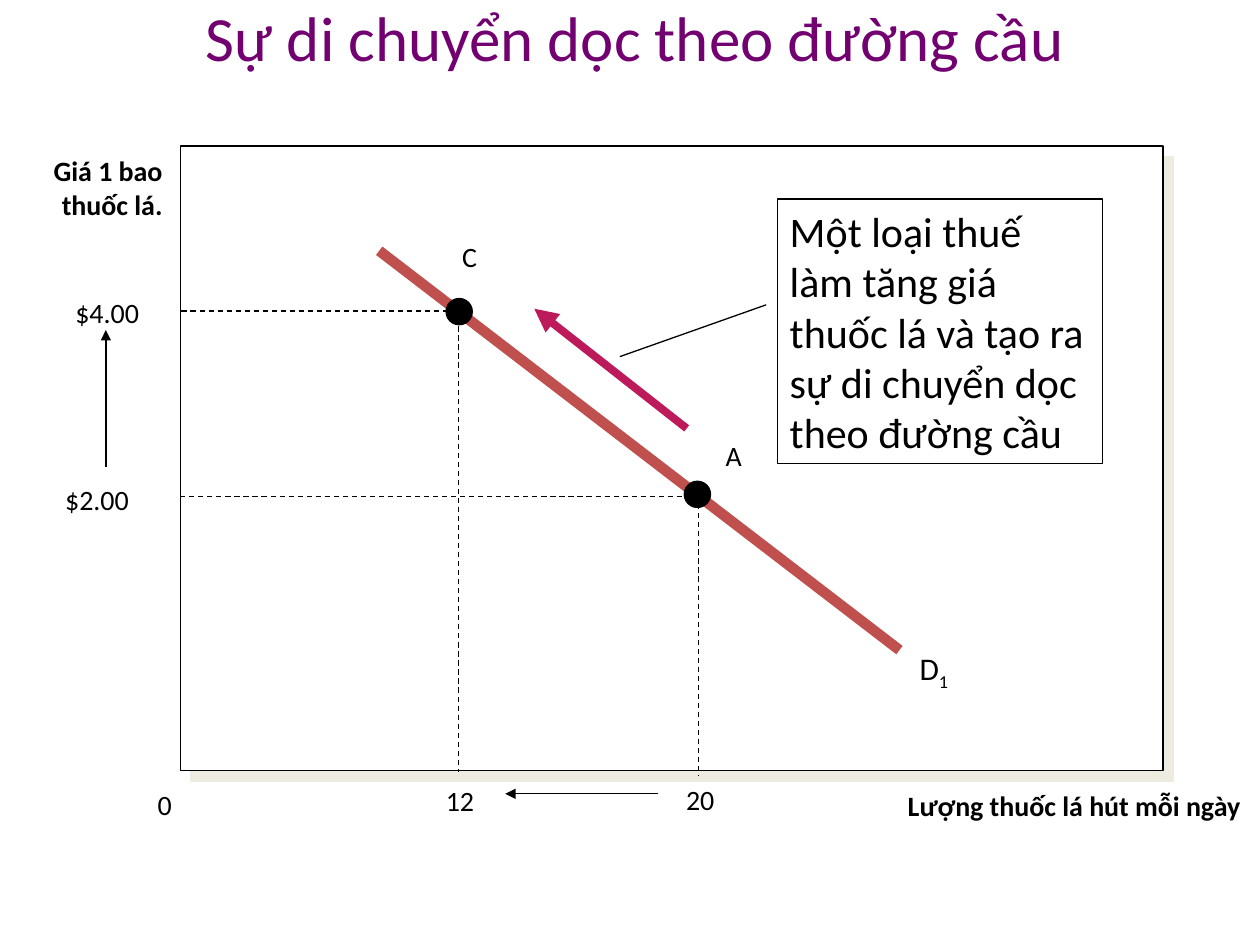
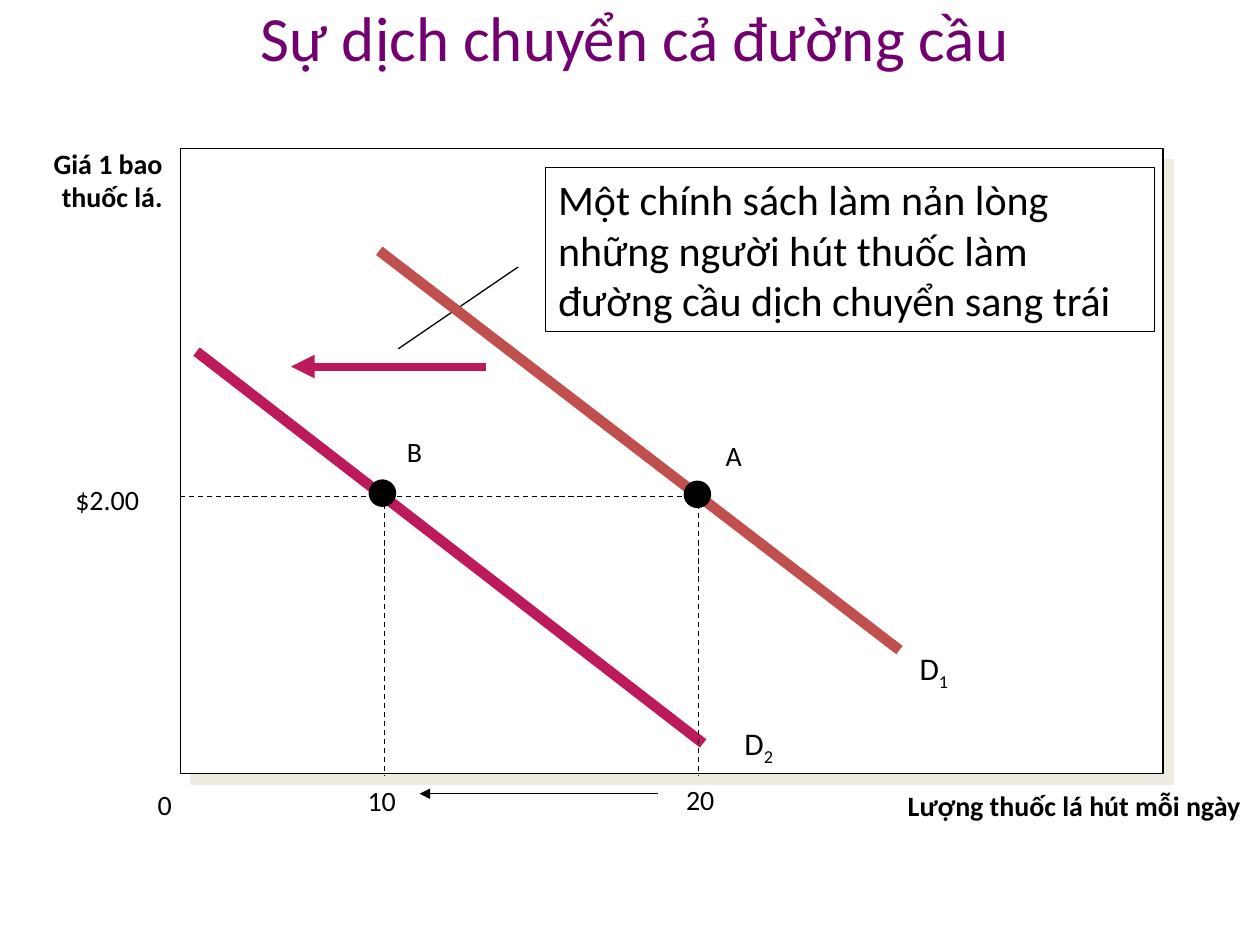
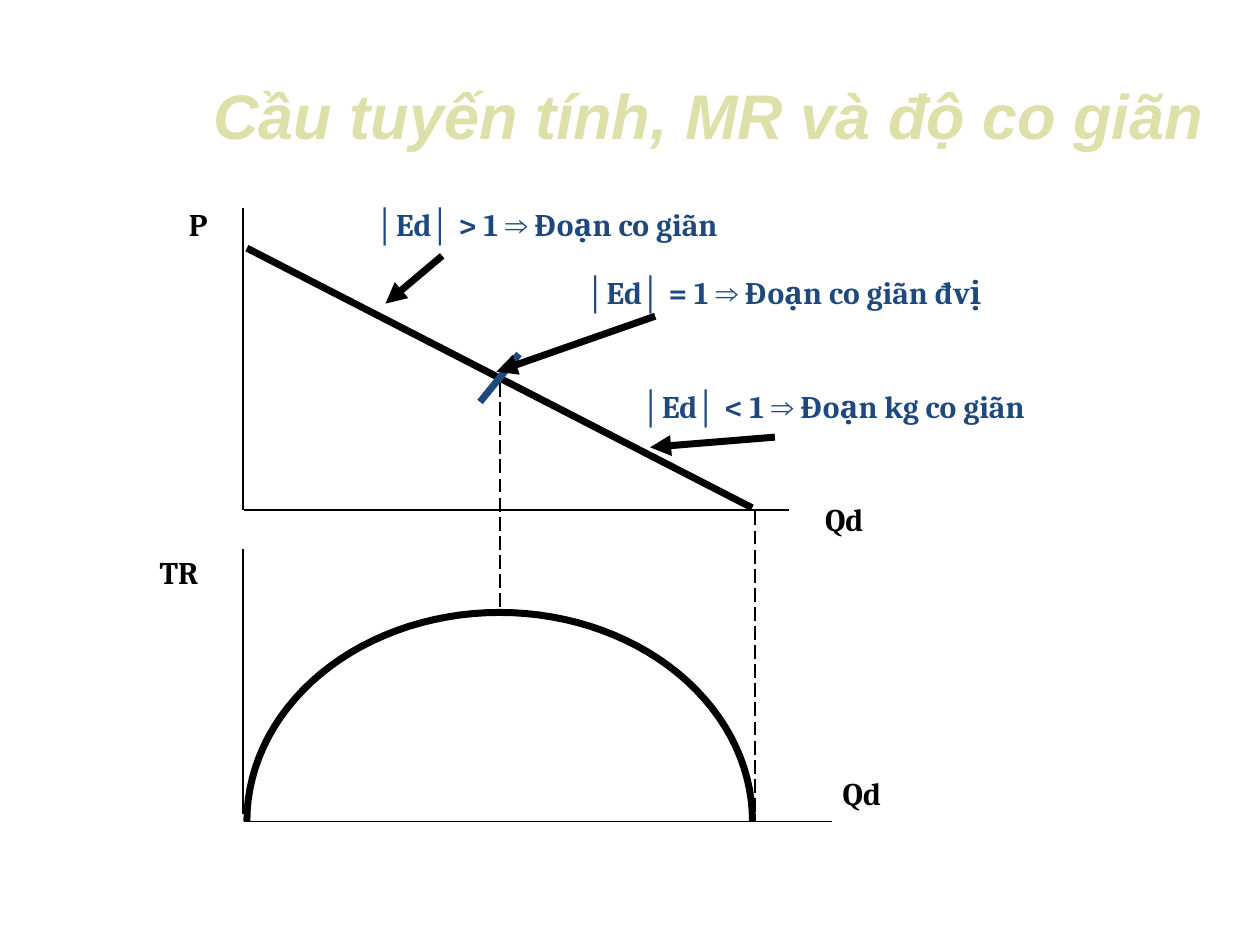
from dataclasses import dataclass
from math import cos, pi, sin

from lxml import etree
from pptx import Presentation
from pptx.dml.color import RGBColor as Rgb
from pptx.enum.dml import MSO_LINE as Dash
from pptx.enum.shapes import MSO_CONNECTOR as Link, MSO_SHAPE as Shape
from pptx.enum.text import MSO_ANCHOR as Anchor, MSO_AUTO_SIZE as Fit, PP_ALIGN as Align
from pptx.oxml.ns import qn
from pptx.util import Pt


@dataclass(frozen=True)
class Theme:
    # Colours
    ink: str = "000000"
    paper: str = "FFFFFF"
    shade: str = "EEECE1"
    plum: str = "720070"
    olive: str = "DDE0A8"
    brick: str = "C0504D"
    rose: str = "BC1A5A"
    navy: str = "1F497D"
    # Fonts and type sizes
    sans: str = "Calibri"
    serif: str = "Cambria"
    plain: str = "Arial"
    head: int = 36
    body: int = 24
    mark: int = 18
    small: int = 16
    # Line widths
    thin: float = 0.75
    axis: float = 1
    bold: float = 4
    arrow: float = 4.5
    curve: float = 6


T = Theme()


# Text
def style(para, size, color=T.ink, font=T.sans, bold=False, italic=False):
    face = para.font
    face.size, face.bold, face.italic = Pt(size), bold, italic
    face.color.rgb = Rgb.from_string(color)
    if font:
        face.name = font


def label(slide, text, x, y, w, h=27, size=T.small, font=T.sans, bold=False,
          color=T.ink, align=Align.LEFT, sub=""):
    frame = slide.shapes.add_textbox(Pt(x), Pt(y), Pt(w), Pt(h)).text_frame
    frame.word_wrap = True
    para = frame.paragraphs[0]
    para.alignment = align
    if text:
        para.add_run().text = text
    if sub:
        run = para.add_run()
        run.text = sub
        run._r.get_or_add_rPr().set("baseline", "-25000")
    style(para, size, color, font, bold)
    return para


def title(slide, text, x, y, w, color=T.plum, font=T.sans, slant=False):
    box = slide.shapes.title
    box.left, box.top, box.width, box.height = Pt(x), Pt(y), Pt(w), Pt(66)
    frame = box.text_frame
    frame.text = text
    frame.word_wrap, frame.auto_size = True, Fit.NONE
    frame.vertical_anchor = Anchor.MIDDLE
    para = frame.paragraphs[0]
    para.alignment = Align.CENTER
    style(para, T.head, color, font, slant, slant)


# Lines and shapes
def line(slide, x1, y1, x2, y2, width=T.thin, color=T.ink, dash=None, tip=False):
    link = slide.shapes.add_connector(Link.STRAIGHT, Pt(x1), Pt(y1), Pt(x2), Pt(y2))
    link.line.width = Pt(width)
    link.line.color.rgb = Rgb.from_string(color)
    if dash:
        link.line.dash_style = dash
    if tip:
        etree.SubElement(link.line._get_or_add_ln(), qn("a:tailEnd"), type="triangle")
    etree.SubElement(link._element.spPr, qn("a:effectLst"))


def block(slide, kind, x, y, w, h, fill=None):
    item = slide.shapes.add_shape(kind, Pt(x), Pt(y), Pt(w), Pt(h))
    item.shadow.inherit = False
    if fill:
        item.fill.solid()
        item.fill.fore_color.rgb = Rgb.from_string(fill)
    else:
        item.fill.background()
    item.line.width = Pt(T.thin)
    item.line.color.rgb = Rgb.from_string(T.ink)
    return item


def plot(slide, top):
    """Framed plot area with a hard offset shadow."""
    item = block(slide, Shape.RECTANGLE, 103, top, 561.6, 357, T.paper)
    effect = item._element.spPr.find(qn("a:effectLst"))
    cast = etree.SubElement(effect, qn("a:outerShdw"), blurRad="0",
                            dist=str(Pt(8.5)), dir="2700000", algn="ctr", rotWithShape="0")
    etree.SubElement(cast, qn("a:srgbClr"), val=T.shade)


def callout(slide, text, x, y, w, h):
    frame = block(slide, Shape.RECTANGLE, x, y, w, h).text_frame
    frame.word_wrap = True
    frame.vertical_anchor = Anchor.TOP
    para = frame.paragraphs[0]
    para.add_run().text = text
    para.alignment = Align.LEFT
    style(para, T.body)


def point(slide, name, x, y, name_x, name_y):
    block(slide, Shape.OVAL, x - 7.5, y - 7.5, 15, 15, T.ink)
    label(slide, name, name_x, name_y, 22.3)


def dome(slide, left, right, top, base, steps=60):
    """Upper half of an ellipse."""
    mid, wide, high = (left + right) / 2, (right - left) / 2, base - top
    dots = [(Pt(mid - wide * cos(pi * i / steps)), Pt(base - high * sin(pi * i / steps)))
            for i in range(steps + 1)]
    path = slide.shapes.build_freeform(*dots[0])
    path.add_line_segments(dots[1:], close=False)
    arc = path.convert_to_shape()
    arc.shadow.inherit = False
    arc.fill.background()
    arc.line.width = Pt(T.bold)
    arc.line.color.rgb = Rgb.from_string(T.ink)


# Parts that both demand slides share
def demand(slide, head, top, name_y, price_x, tip_x):
    title(slide, head, 23.8, -12.2, 678)
    plot(slide, top)
    label(slide, "Giá 1 bao thuốc lá.", 0, name_y, 100, 46, bold=True, align=Align.RIGHT)
    label(slide, "Lượng thuốc lá hút mỗi ngày", 438, 447, 278, bold=True, align=Align.RIGHT)
    label(slide, "0", 83, 446.4, 26)
    label(slide, "20", 385, 443.5, 33)
    label(slide, "$2.00", price_x, 272, 64)
    line(slide, 375.8, 453.6, tip_x, 453.6, tip=True)
    line(slide, 103, 283.7, 399, 283.7, dash=Dash.DASH)


def first(slide):
    line(slide, 399, 283, 399, 443, dash=Dash.DASH)
    line(slide, 216.7, 143.3, 514, 371.5, T.curve, T.brick)
    label(slide, "D", 518.4, 367.2, 44.6, 31.7, T.mark, sub="1")
    point(slide, "A", 398.5, 282.5, 407.5, 247)


def along(slide):
    demand(slide, "Sự di chuyển dọc theo đường cầu", 83.5, 84.2, 30.2, 288.7)
    first(slide)
    line(slide, 392.4, 244.8, 305.3, 176.4, T.arrow, T.rose, tip=True)
    # Point C at the higher price
    line(slide, 262, 186.5, 262, 441.4, dash=Dash.DASH)
    line(slide, 103.7, 177.8, 258.5, 177.8, dash=Dash.DASH)
    point(slide, "C", 262.4, 178.1, 257, 133.2)
    label(slide, "12", 247.7, 444.2, 33)
    label(slide, "$4.00", 36, 165.6, 64)
    line(slide, 60.5, 267, 60.5, 188.6, tip=True)
    # Callout
    callout(slide, "Một loại thuế làm tăng giá thuốc lá và tạo ra sự di chuyển dọc theo đường cầu",
            444.2, 113.8, 185.8, 151.2)
    line(slide, 437.8, 174.2, 354.2, 203.8)


def shift(slide):
    demand(slide, "Sự dịch chuyển cả đường cầu", 85, 80, 36, 239.8)
    # Second curve
    line(slide, 112.3, 200.9, 401.8, 424.8, T.curve, T.rose)
    label(slide, "D", 418.3, 410.4, 44.6, 31.7, T.mark, sub="2")
    line(slide, 278, 209.5, 166.3, 209.5, T.arrow, T.rose, tip=True)
    line(slide, 296, 152.6, 227.5, 199.4)
    first(slide)
    # Point B on the second curve
    line(slide, 219.6, 283, 219.6, 443, dash=Dash.DASH)
    label(slide, "10", 203, 444.2, 33)
    point(slide, "B", 218.5, 281.8, 225.4, 244.8)
    callout(slide, "Một chính sách làm nản lòng những người hút thuốc làm đường cầu dịch chuyển sang trái",
            311.8, 95.8, 347.8, 93.6)


def note(slide, sign, text, x, y, w):
    para = label(slide, "", x, y, w, 28.8, T.mark, None, True, T.navy)
    parts = ("│", "Ed", "│", f" {sign} 1 ", "⇒", f" {text}")
    for part, font in zip(parts, (T.plain, T.serif) * 3):
        run = para.add_run()
        run.text = part
        run.font.name = font


def stretch(slide):
    title(slide, "Cầu tuyến tính, MR và độ co giãn", 90, 32.4, 630, T.olive, T.plain, True)
    # Axes
    for x1, y1, x2, y2 in ((139, 118.8, 139, 291.6), (139.7, 291.6, 450.7, 291.6),
                           (139, 313.9, 139, 465), (139.7, 469.4, 475.2, 469.4)):
        line(slide, x1, y1, x2, y2, T.axis)
    for name, x, y in (("P", 100.8, 113.8), ("Qd", 464.4, 282.2),
                       ("TR", 84.2, 312.5), ("Qd", 474.5, 438.5)):
        label(slide, name, x, y, 45, 28.8, T.mark, T.serif, True)
    # Demand line and its middle
    line(slide, 141.1, 141.8, 429.8, 290.2, T.bold)
    line(slide, 296.6, 202.3, 274.3, 229.7, T.bold, T.navy)
    # Notes on each part of the line
    note(slide, ">", "Đoạn co giãn", 208, 113.8, 240)
    note(slide, "=", "Đoạn co giãn đvị", 328.3, 152.6, 275)
    note(slide, "<", "Đoạn kg co giãn", 360, 217.4, 333)
    for x1, y1, x2, y2 in ((252.7, 146.2, 220.3, 173.5), (374.4, 180.7, 283.7, 212.4),
                           (442.8, 249.8, 371.5, 255.6)):
        line(slide, x1, y1, x2, y2, T.bold, tip=True)
    # Revenue curve
    line(slide, 285.8, 218.9, 285.8, 352, T.axis, dash=Dash.LONG_DASH)
    line(slide, 431.3, 292.3, 431.3, 469.4, T.axis, dash=Dash.LONG_DASH)
    dome(slide, 141.1, 430, 350, 469.4)


def main():
    deck = Presentation()
    deck.slide_width, deck.slide_height = Pt(720), Pt(540)
    for draw in (along, shift, stretch):
        draw(deck.slides.add_slide(deck.slide_layouts[5]))
    deck.save("out.pptx")


if __name__ == "__main__":
    main()
